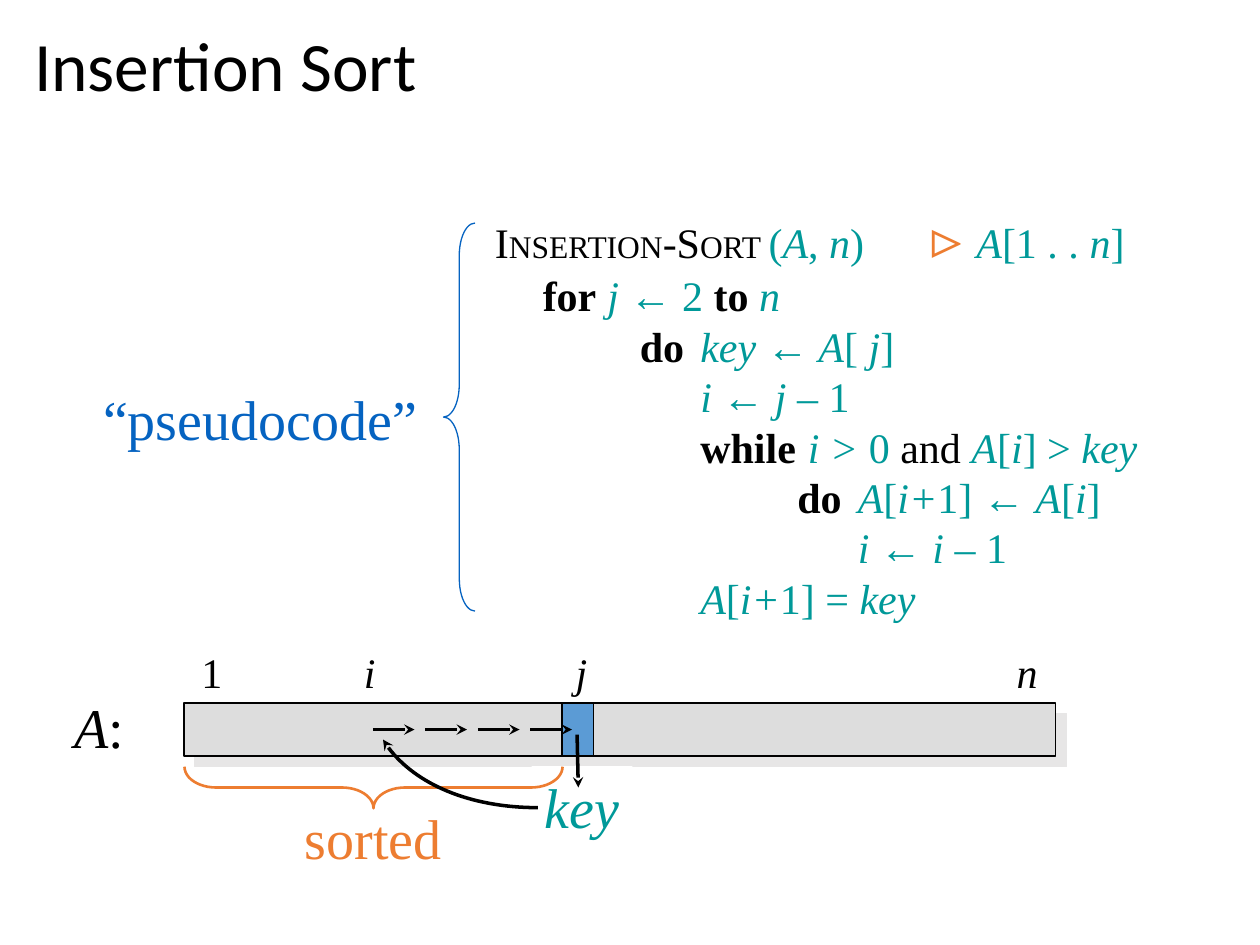
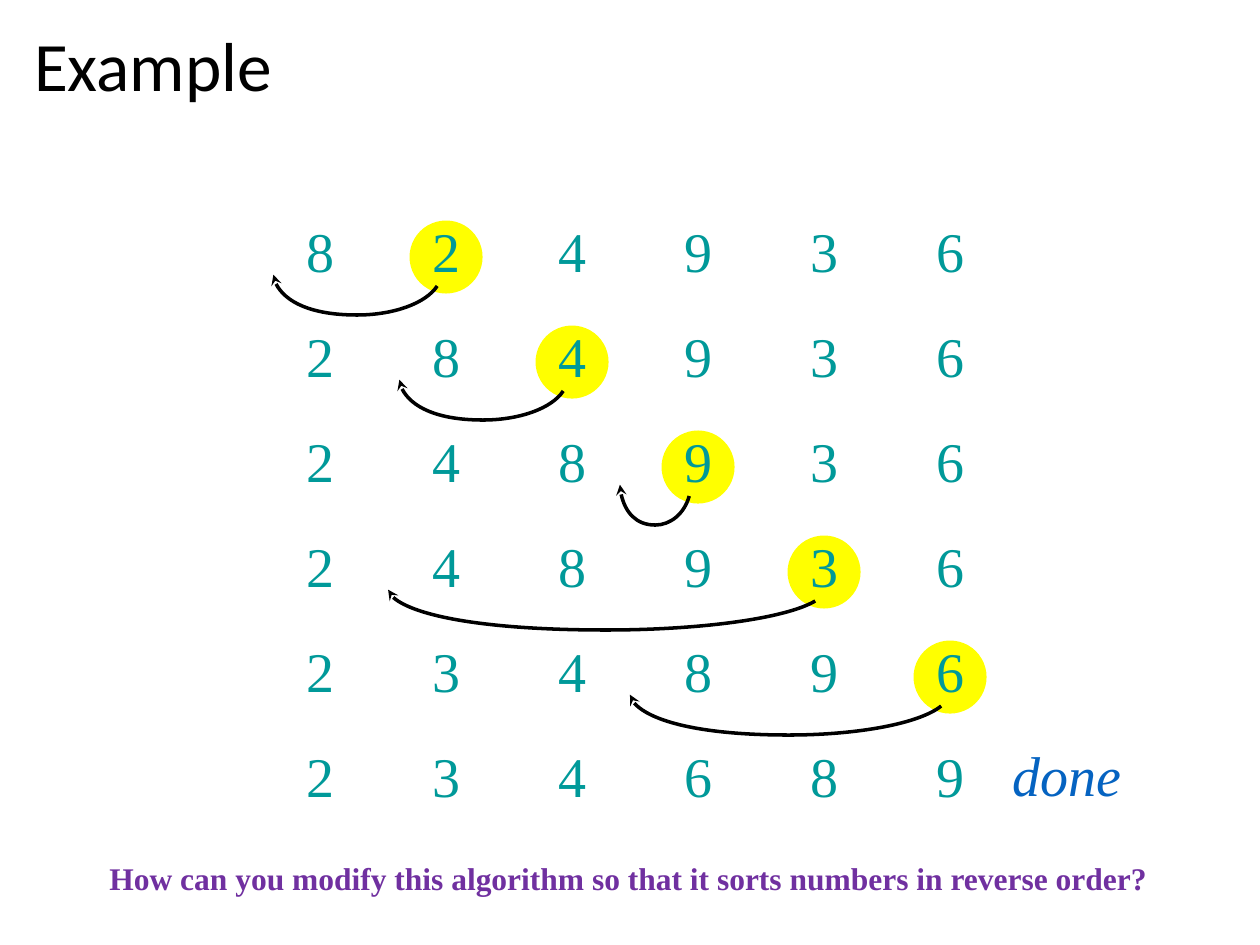
from typing import NamedTuple

from lxml import etree
from pptx import Presentation
from pptx import util as u
from pptx.dml.color import RGBColor
from pptx.enum import shapes, text
from pptx.oxml import ns

COLORS = {
    "ink": "000000", "paper": "FFFFFF", "teal": "009999", "orange": "ED7D31",
    "blue": "0563C1", "cell": "5B9BD5", "array": "DDDDDD", "shade": "E7E6E6",
    "yellow": "FFFF00", "purple": "7030A0",
}
TITLE_FONT, BODY_FONT = "Calibri", "Times New Roman"


class Style(NamedTuple):
    color: str = "ink"
    size: float = 24
    bold: bool = False
    italic: bool = False
    font: str = BODY_FONT


class Box(NamedTuple):
    left: float
    top: float
    width: float
    height: float


class Span(NamedTuple):
    style: Style
    words: str


class CodeLine(NamedTuple):
    spans: list[Span]
    stops: tuple[float, ...]


class Label(NamedTuple):
    words: str
    box: Box
    style: Style


PLAIN, CAPS, BOLD = Style(), Style(size=18), Style(bold=True)
VAR, SYM = Style("teal", italic=True), Style("teal")
MARK, INDEX = Style("orange", 32), Style(italic=True)
HEADING = Style(size=39.6, font=TITLE_FONT)

STOPS = (0.38, 1.15, 1.63, 2.4, 2.88)
CODE = [
    CodeLine([Span(PLAIN, "I"), Span(CAPS, "NSERTION"), Span(PLAIN, "-S"), Span(CAPS, "ORT "),
              Span(SYM, "("), Span(VAR, "A"), Span(SYM, ", "), Span(VAR, "n"), Span(SYM, ")\t"),
              Span(MARK, "⊳ "), Span(VAR, "A"), Span(SYM, "[1 . . "), Span(VAR, "n"),
              Span(SYM, "]")], (3.45,)),
    CodeLine([Span(BOLD, "\tfor\t "), Span(VAR, "j "), Span(SYM, "← 2 "), Span(BOLD, "to "),
              Span(VAR, "n")], (0.38, 0.81)),
    CodeLine([Span(BOLD, "\t\tdo\t"), Span(VAR, "key ← A"), Span(SYM, "[ "), Span(VAR, "j"),
              Span(SYM, "]")], STOPS),
    CodeLine([Span(VAR, "\t\t\ti ← j – "), Span(SYM, "1")], STOPS),
    CodeLine([Span(BOLD, "\t\t\twhile\t "), Span(VAR, "i > "), Span(SYM, "0"),
              Span(PLAIN, " and "), Span(VAR, "A"), Span(SYM, "["), Span(VAR, "i"),
              Span(SYM, "] > "), Span(VAR, "key")], STOPS),
    CodeLine([Span(BOLD, "\t\t\t\tdo\t"), Span(VAR, "A"), Span(SYM, "["), Span(VAR, "i+"),
              Span(SYM, "1] ← "), Span(VAR, "A"), Span(SYM, "["), Span(VAR, "i"),
              Span(SYM, "]")], STOPS),
    CodeLine([Span(VAR, "\t\t\t\t\ti ← i – "), Span(SYM, "1")], STOPS),
    CodeLine([Span(VAR, "\t\t\tA"), Span(SYM, "["), Span(VAR, "i+"), Span(SYM, "1] = "),
              Span(VAR, "key")], STOPS),
]

ARRAY_LABELS = [
    Label("“pseudocode”", Box(0.72, 3, 2.7, 0.63), Style("blue", 32)),
    Label("1", Box(1.5, 5.08, 0.37, 0.5), PLAIN),
    Label("i", Box(2.79, 5.08, 0.29, 0.5), INDEX),
    Label("j", Box(4.47, 5.08, 0.29, 0.5), INDEX),
    Label("n", Box(7.97, 5.08, 0.37, 0.5), INDEX),
    Label("sorted", Box(2.32, 6.33, 1.29, 0.63), MARK),
]

START = [8, 2, 4, 9, 3, 6]
ARC_ENDS = [2.17, 3.17, 4.92, 3.08, 5]
ARC_BEND = [(1, 0.6), (0.93, 0.74), (0.73, 0.83), (0.51, 0.83), (0.23, 0.83), (0.01, 0.69),
            (0, 0.51)]
FIRST_COLUMN, COLUMN_STEP = 2.33, 1
FIRST_ROW, ROW_STEP = 1.67, 5 / 6


def rgb(color: str) -> RGBColor:
    return RGBColor.from_string(COLORS[color])


def inches(box: Box) -> list[u.Length]:
    return [u.Inches(side) for side in box]


def child(parent, tag: str, **attributes: str):
    return etree.SubElement(parent, ns.qn(tag), attributes)


def format_run(run, style: Style) -> None:
    run.font.name = style.font
    run.font.size = u.Pt(style.size)
    run.font.bold = style.bold
    run.font.italic = style.italic
    run.font.color.rgb = rgb(style.color)


def add_spans(paragraph, spans: list[Span]) -> None:
    for span in spans:
        run = paragraph.add_run()
        run.text = span.words
        format_run(run, span.style)


def add_text(slide, box: Box, spans: list[Span], wrap: bool = False, centred: bool = True):
    label = slide.shapes.add_textbox(*inches(box))
    label.text_frame.word_wrap = wrap
    paragraph = label.text_frame.paragraphs[0]
    paragraph.alignment = text.PP_ALIGN.CENTER if centred else text.PP_ALIGN.LEFT
    add_spans(paragraph, spans)
    return label


def add_outline(slide, kind, box: Box, fill: str | None, line: str | None, width: float = 0.75):
    figure = slide.shapes.add_shape(kind, *inches(box))
    figure.shadow.inherit = False
    if fill:
        figure.fill.solid()
        figure.fill.fore_color.rgb = rgb(fill)
    else:
        figure.fill.background()
    if line:
        figure.line.color.rgb = rgb(line)
        figure.line.width = u.Pt(width)
    else:
        figure.line.fill.background()
    return figure


def style_arrow(arrow) -> None:
    arrow.line.color.rgb = rgb("ink")
    arrow.line.width = u.Pt(2)
    child(arrow.line._get_or_add_ln(), "a:tailEnd", type="stealth")


def add_arrow(slide, start: tuple[float, float], end: tuple[float, float]) -> None:
    arrow = slide.shapes.add_connector(
        shapes.MSO_CONNECTOR.STRAIGHT, *[u.Inches(value) for value in start + end])
    style_arrow(arrow)
    child(arrow._element.spPr, "a:effectLst")


def add_curve(slide, points: list[tuple[float, float]]) -> None:
    corners = [(u.Inches(x), u.Inches(y)) for x, y in points]
    builder = slide.shapes.build_freeform(*corners[0])
    builder.add_line_segments(corners[1:], close=False)
    curve = builder.convert_to_shape()
    curve.shadow.inherit = False
    curve.fill.background()
    style_arrow(curve)
    segments = list(curve._element.iter(ns.qn("a:lnTo")))
    outline = segments[0].getparent()
    for first in range(0, len(segments), 3):
        bezier = child(outline, "a:cubicBezTo")
        for segment in segments[first:first + 3]:
            bezier.append(segment[0])
            outline.remove(segment)


def add_titled_slide(deck, heading: str):
    slide = deck.slides.add_slide(deck.slide_layouts[5])
    title = slide.shapes.title
    title.left, title.top, title.width, title.height = inches(Box(0.17, 0.18, 9.62, 0.74))
    title.text_frame.text = heading
    title.text_frame.auto_size = text.MSO_AUTO_SIZE.NONE
    title.text_frame.vertical_anchor = text.MSO_ANCHOR.MIDDLE
    paragraph = title.text_frame.paragraphs[0]
    paragraph.alignment = text.PP_ALIGN.LEFT
    paragraph.line_spacing = 0.9
    format_run(paragraph.runs[0], HEADING)
    return slide


def add_code(slide, lines: list[CodeLine]) -> None:
    frame = slide.shapes.add_textbox(*inches(Box(3.83, 1.56, 6.2, 3.43))).text_frame
    frame.word_wrap = True
    for number, line in enumerate(lines):
        paragraph = frame.add_paragraph() if number else frame.paragraphs[0]
        if number:
            paragraph.line_spacing = u.Pt(28.8)
        stops = child(paragraph._p.get_or_add_pPr(), "a:tabLst")
        for stop in line.stops:
            child(stops, "a:tab", pos=str(u.Inches(stop)), algn="l")
        add_spans(paragraph, line.spans)


def build_algorithm(deck) -> None:
    slide = add_titled_slide(deck, "Insertion Sort")
    add_code(slide, CODE)
    code_brace = add_outline(slide, shapes.MSO_SHAPE.LEFT_BRACE, Box(3.52, 1.77, 0.25, 3.08),
                             None, "blue")
    code_brace.adjustments[0] = 1.03

    array = add_outline(slide, shapes.MSO_SHAPE.RECTANGLE, Box(1.46, 5.58, 6.92, 0.42),
                        "array", "ink")
    shadow = child(array._element.spPr.find(ns.qn("a:effectLst")), "a:outerShdw", blurRad="0",
                   dist=str(u.Pt(8.5)), dir="2700000", algn="ctr", rotWithShape="0")
    child(shadow, "a:srgbClr", val=COLORS["shade"])
    add_outline(slide, shapes.MSO_SHAPE.RECTANGLE, Box(4.46, 5.58, 0.25, 0.42), "cell", "ink")

    for shift in range(4):
        left = 2.96 + shift * 5 / 12
        add_arrow(slide, (left, 5.79), (left + 0.33, 5.79))
    key = add_text(slide, Box(4.22, 6.08, 0.8, 0.63),
                   [Span(Style("teal", 32, italic=True), "key")])
    key.fill.solid()
    key.fill.fore_color.rgb = rgb("paper")
    add_arrow(slide, (4.58, 5.83), (4.59, 6.25))

    sorted_brace = add_outline(slide, shapes.MSO_SHAPE.LEFT_BRACE, Box(2.8, 4.75, 0.33, 3),
                               None, "orange", 1.5)
    sorted_brace.rotation = 270
    sorted_brace.adjustments[0] = 0.76
    add_curve(slide, [(4.27, 6.41), (3.72, 6.41), (3.23, 6.19), (3.04, 5.87)])

    add_text(slide, Box(0.49, 5.45, 0.6, 0.63),
             [Span(Style(size=32, italic=True), "A"), Span(Style(size=32), ":")])
    for label in ARRAY_LABELS:
        add_text(slide, label.box, [Span(label.style, label.words)], centred=False)


def insertion_steps(values: list[int]) -> list[list[int]]:
    return [sorted(values[:done]) + values[done:] for done in range(1, len(values) + 1)]


def build_example(deck) -> None:
    slide = add_titled_slide(deck, "Example")
    for step, numbers in enumerate(insertion_steps(START)):
        top = FIRST_ROW + step * ROW_STEP
        key_left = FIRST_COLUMN + (step + 1) * COLUMN_STEP
        moving = step < len(ARC_ENDS)
        if moving:
            add_outline(slide, shapes.MSO_SHAPE.OVAL,
                        Box(key_left - 0.08, top + 0.08, 0.58, 0.58), "yellow", None)
        for column, number in enumerate(numbers):
            add_text(slide, Box(FIRST_COLUMN + column * COLUMN_STEP, top, 0.42, 0.63),
                     [Span(Style("teal", 32), str(number))])
        if moving:
            end = ARC_ENDS[step]
            reach = key_left + 0.14 - end
            add_curve(slide, [(end + across * reach, top + down) for across, down in ARC_BEND])

    add_text(slide, Box(7.93, 5.83, 1.07, 0.63), [Span(Style("blue", 32, italic=True), "done")])
    question = "How can you modify this algorithm so that it sorts numbers in reverse order?"
    add_text(slide, Box(0.77, 6.77, 8.59, 0.4), [Span(Style("purple", 18, bold=True), question)],
             wrap=True, centred=False)


def main() -> None:
    deck = Presentation()
    deck.slide_width, deck.slide_height = u.Inches(10), u.Inches(7.5)
    build_algorithm(deck)
    build_example(deck)
    deck.save("out.pptx")


if __name__ == "__main__":
    main()
